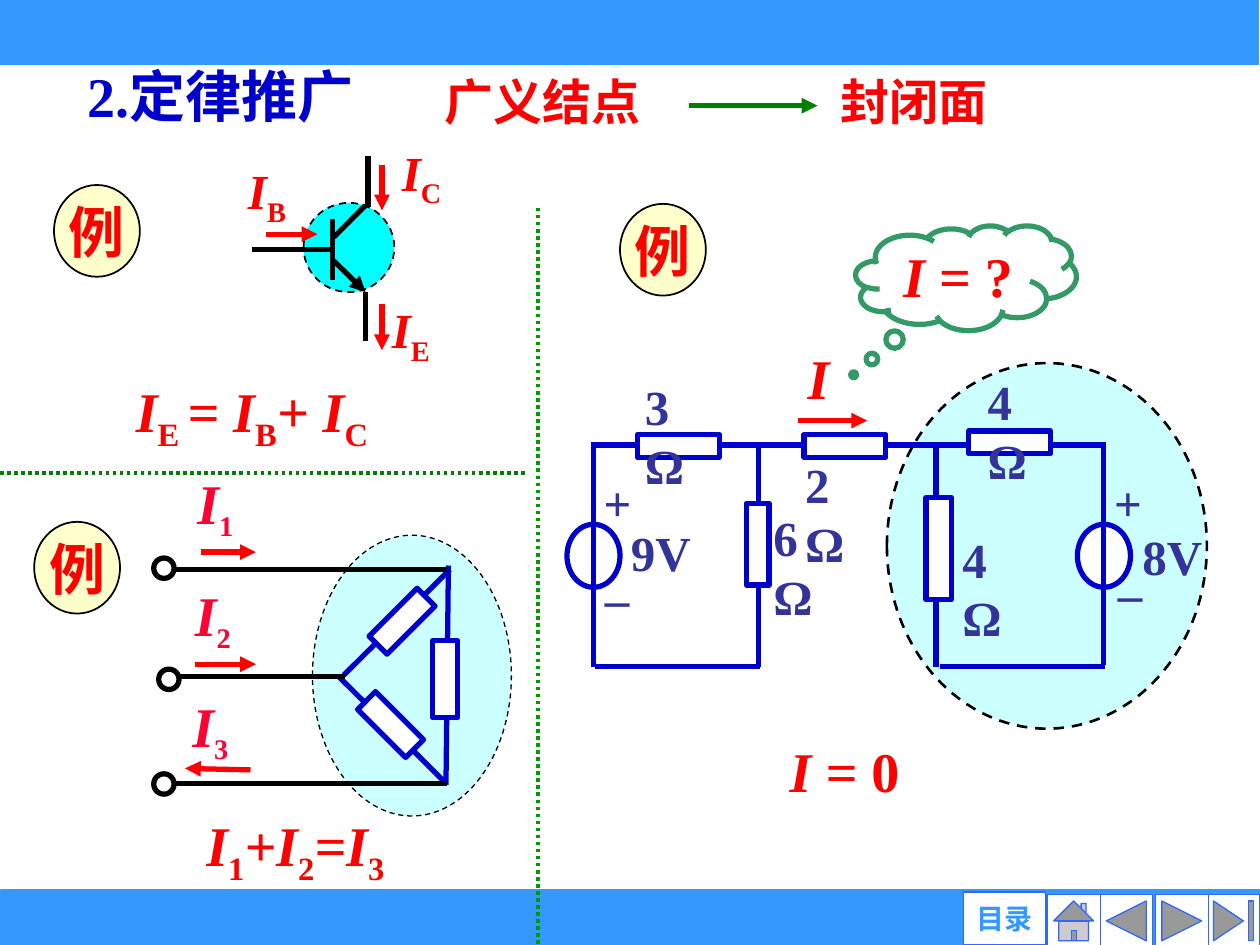
from lxml.etree import SubElement
from pptx import Presentation
from pptx.dml.color import RGBColor
from pptx.enum.dml import MSO_LINE
from pptx.enum.shapes import MSO_CONNECTOR, MSO_SHAPE
from pptx.enum.text import MSO_ANCHOR, MSO_AUTO_SIZE, PP_ALIGN
from pptx.oxml.ns import qn
from pptx.util import Cm, Pt

THEME = dict(
    serif="Times New Roman", sans="Arial", large=32, medium=28, small=16,
    band="3399FF", button="3366FF", white="FFFFFF", black="000000",
    red="FF0000", crimson="FF0033", blue="0000CC", label="333399",
    green="008000", divider="009900", cloud="339966",
    surface="CCFFFF", transistor="00FFFF", badge="FFFFCC",
)
GRID = 2.54

TITLE = ("2.定律推广", (0.59, 0.44, 2.66, 0.63))
HEADINGS = [
    ("广义结点", (3.43, 0.52, 2.35, 0.57)),
    ("封闭面", (6.57, 0.52, 2.12, 0.57)),
]
EXAMPLE = "例"
EXAMPLE_SPOTS = [(0.43, 1.47), (4.92, 1.62), (0.27, 4.14)]
MENU = "目录"
BUTTONS = [
    (MSO_SHAPE.ACTION_BUTTON_END, 9.58),
    (MSO_SHAPE.ACTION_BUTTON_FORWARD_OR_NEXT, 9.17),
    (MSO_SHAPE.ACTION_BUTTON_BACK_OR_PREVIOUS, 8.73),
    (MSO_SHAPE.ACTION_BUTTON_HOME, 8.31),
]

QUESTION = [("I ", "italic"), ("= ?", "")]
FORMULAS = [
    ([("I", "italic"), ("1", "sub"), ("+I", "italic"), ("2", "sub"),
      ("=I", "italic"), ("3", "sub")], (1.54, 6.38, 1.67, 0.63), False),
    ([("I = ", "italic"), ("0", "")], (6.17, 5.8, 1.07, 0.63), False),
    ([("I", "italic"), ("E ", "sub"), ("= I", "italic"), ("B", "sub"),
      ("+ I", "italic"), ("C", "sub")], (0.98, 2.94, 2.29, 0.63), True),
    ([("I", "italic")], (6.31, 2.68, 0.38, 0.63), False),
]

TRANSISTOR_LEADS = [
    (2.64, 1.74, 2.64, 2.22), (2, 1.98, 2.64, 1.98), (2.65, 1.88, 2.9, 1.63),
    (2.9, 2.32, 2.9, 2.71), (2.92, 1.24, 2.92, 1.64),
]
EMITTER = (2.65, 2.07, 2.9, 2.32)
TRANSISTOR_CURRENTS = [
    ("E", (3.01, 2.33, 0.57, 0.45), (3.03, 2.41, 3.03, 2.78)),
    ("C", (3.09, 1.08, 0.73, 0.7), (3.03, 1.31, 3.03, 1.67)),
    ("B", (1.87, 1.23, 0.69, 0.6), (2.11, 1.86, 2.52, 1.86)),
]

DELTA_SIDES = [
    ((3.56, 4.49, 3.54, 6.23), (3.23, 5.29, 0.61, 0.2), 90),
    ((3.57, 4.52, 2.73, 5.36), (3.09, 4.66, 0.2, 0.54), 45),
    ((2.69, 5.37, 3.53, 6.21), (3, 5.48, 0.2, 0.54), 315),
]
DELTA_PHASES = [
    ("1", (1.47, 3.67), (1.6, 4.38, 2.03, 4.38), (1.22, 4.43), (1.39, 4.52, 3.55, 4.52)),
    ("2", (1.45, 4.56), (1.55, 5.27, 2.03, 5.27), (1.26, 5.31), (1.41, 5.37, 2.74, 5.37)),
    ("3", (1.43, 5.44), (1.99, 6.11, 1.47, 6.1), (1.22, 6.14), (1.39, 6.22, 3.55, 6.22)),
]

SOURCES = [(4.5, 4.16), (8.55, 4.16)]
WIRES = [
    (4.71, 3.52, 4.71, 5.29), (6.02, 3.52, 6.02, 5.29),
    (7.43, 3.52, 7.43, 5.29), (8.76, 3.51, 8.76, 5.28),
    (4.69, 3.53, 6.12, 3.53), (6.03, 3.53, 7.46, 3.53),
    (7.35, 3.53, 8.77, 3.53),
    (4.72, 5.29, 6.03, 5.29), (7.46, 5.29, 8.77, 5.29),
]
RESISTORS = [
    ((5.06, 3.45, 0.65, 0.18), 0), ((6.38, 3.45, 0.65, 0.18), 0),
    ((7.69, 3.42, 0.65, 0.18), 0), ((7.35, 3.95, 0.2, 0.81), 0),
    ((5.69, 4.23, 0.65, 0.18), 270),
]
CIRCUIT_LABELS = [
    ("3 Ω", 5.02, 2.94, 0.79), ("4 Ω", 7.74, 2.9, 0.79),
    ("4 Ω", 7.54, 4.15, 0.79), ("6 Ω", 6.04, 3.98, 0.79),
    ("2 Ω", 6.29, 3.56, 0.79), ("9V", 4.91, 4.1, 0.68), ("8V", 8.97, 4.13, 0.68),
]
POLARITY = [("+", 4.69, 3.7), ("_", 4.73, 4.33), ("+", 8.74, 3.7), ("_", 8.8, 4.29)]


def color(name):
    return RGBColor.from_string(THEME[name])


def lengths(values):
    return [Cm(round(value * GRID, 2)) for value in values]


def write(frame, text, *, size="large", tint="red", face="serif", align=PP_ALIGN.LEFT,
          anchor=MSO_ANCHOR.TOP, wrap=True, sub_size=None):
    frame.word_wrap = wrap
    frame.vertical_anchor = anchor
    paragraph = frame.paragraphs[0]
    paragraph.alignment = align
    for part, style in [(text, "")] if isinstance(text, str) else text:
        run = paragraph.add_run()
        run.text = part
        run.font.name = THEME[face]
        run.font.bold = True
        run.font.italic = style == "italic"
        run.font.color.rgb = color(tint)
        run.font.size = Pt(THEME[size])
        if style == "sub":
            run.font.size = Pt(THEME[sub_size or size])
            run.font._element.set("baseline", "-25000")


def add_label(slide, text, box, **style):
    frame = slide.shapes.add_textbox(*lengths(box)).text_frame
    frame.auto_size = MSO_AUTO_SIZE.SHAPE_TO_FIT_TEXT
    write(frame, text, **style)


def add_part(slide, kind, box, fill="white", edge="blue", width=3, dash=None, turn=0):
    part = slide.shapes.add_shape(kind, *lengths(box))
    part.shadow.inherit = False
    part.fill.solid()
    part.fill.fore_color.rgb = color(fill)
    part.line.color.rgb = color(edge)
    part.line.width = Pt(width)
    part.line.dash_style = dash
    part.rotation = turn
    return part


def add_centred(part, text, **style):
    frame = part.text_frame
    frame.margin_left = frame.margin_right = frame.margin_top = frame.margin_bottom = 0
    write(frame, text, align=PP_ALIGN.CENTER, anchor=MSO_ANCHOR.MIDDLE, wrap=False, **style)


def add_line(slide, ends, tint="blue", width=3, dash=None, arrow=False):
    wire = slide.shapes.add_connector(MSO_CONNECTOR.STRAIGHT, *lengths(ends))
    wire.line.color.rgb = color(tint)
    wire.line.width = Pt(width)
    wire.line.dash_style = dash
    properties = wire._element.spPr
    if arrow:
        SubElement(properties.find(qn("a:ln")), qn("a:tailEnd"), type="triangle")
    SubElement(properties, qn("a:effectLst"))


def draw_frame(slide):
    add_part(slide, MSO_SHAPE.RECTANGLE, (0.01, 7.08, 9.99, 0.42), "band", "band")
    add_part(slide, MSO_SHAPE.RECTANGLE, (0, -0.01, 9.99, 0.52), "band", "band", 0)
    for kind, left in BUTTONS:
        add_part(slide, kind, (left, 7.1, 0.42, 0.42), edge="button", width=0.75)
    menu = add_part(slide, MSO_SHAPE.ACTION_BUTTON_CUSTOM, (7.65, 7.08, 0.65, 0.42),
                    edge="button", width=0.75)
    add_centred(menu, MENU, size="small", tint="band", face="sans")


def draw_headings(slide):
    text, box = TITLE
    title = slide.shapes.title
    title.left, title.top, title.width, title.height = lengths(box)
    title.text_frame.auto_size = MSO_AUTO_SIZE.NONE
    write(title.text_frame, text, tint="blue")
    for text, box in HEADINGS:
        add_label(slide, text, box, size="medium")
    add_line(slide, (5.47, 0.84, 6.49, 0.84), "green", arrow=True)
    add_line(slide, (4.27, 1.65, 4.27, 7.5), "divider", 2, MSO_LINE.ROUND_DOT)
    add_line(slide, (0, 3.75, 4.19, 3.75), "green", 2, MSO_LINE.ROUND_DOT)
    for spot in EXAMPLE_SPOTS:
        badge = add_part(slide, MSO_SHAPE.OVAL, (*spot, 0.68, 0.73), "badge", "black", 1)
        add_centred(badge, EXAMPLE)
    for text, box, wrap in FORMULAS:
        add_label(slide, text, box, wrap=wrap)


def draw_transistor(slide):
    add_part(slide, MSO_SHAPE.OVAL, (2.41, 1.61, 0.72, 0.71), "transistor", "black", 1,
             MSO_LINE.DASH)
    for lead in TRANSISTOR_LEADS:
        add_line(slide, lead, "black")
    add_line(slide, EMITTER, "black", arrow=True)
    for name, box, arrow in TRANSISTOR_CURRENTS:
        add_label(slide, [("I", "italic"), (name, "sub")], box, size="medium")
        add_line(slide, arrow, "red", arrow=True)


def draw_delta(slide):
    add_part(slide, MSO_SHAPE.OVAL, (2.48, 4.25, 1.58, 2.23), "surface", "black", 0.75,
             MSO_LINE.DASH)
    for wire, resistor, turn in DELTA_SIDES:
        add_line(slide, wire)
        add_part(slide, MSO_SHAPE.RECTANGLE, resistor, turn=turn)
    for name, spot, arrow, terminal, wire in DELTA_PHASES:
        add_label(slide, [("I", "italic"), (name, "sub")], (*spot, 0.51, 0.63),
                  tint="crimson", sub_size="medium")
        add_line(slide, wire, "black")
        add_line(slide, arrow, "red", arrow=True)
        add_part(slide, MSO_SHAPE.OVAL, (*terminal, 0.16, 0.16), edge="black")


def draw_circuit(slide):
    cloud = add_part(slide, MSO_SHAPE.CLOUD_CALLOUT, (6.79, 1.79, 1.75, 0.83), edge="cloud")
    cloud.adjustments[0], cloud.adjustments[1] = -0.509, 0.925
    add_centred(cloud, QUESTION)
    add_part(slide, MSO_SHAPE.OVAL, (7.04, 2.88, 2.54, 2.9), "surface", "black", 1.5,
             MSO_LINE.DASH)
    add_line(slide, (6.33, 3.34, 6.88, 3.34), "red", arrow=True)
    for spot in SOURCES:
        add_part(slide, MSO_SHAPE.OVAL, (*spot, 0.42, 0.5))
    for wire in WIRES:
        add_line(slide, wire)
    for box, turn in RESISTORS:
        add_part(slide, MSO_SHAPE.RECTANGLE, box, turn=turn)
    for text, left, top, width in CIRCUIT_LABELS:
        add_label(slide, text, (left, top, width, 0.57), size="medium", tint="label")
    for sign, left, top in POLARITY:
        add_label(slide, [(sign, "italic")], (left, top, 0.42, 0.57), size="medium",
                  tint="label")


def main():
    deck = Presentation()
    deck.slide_width, deck.slide_height = lengths((10, 7.5))
    slide = deck.slides.add_slide(deck.slide_layouts[5])
    for draw in (draw_frame, draw_transistor, draw_delta, draw_circuit, draw_headings):
        draw(slide)
    deck.save("out.pptx")


if __name__ == "__main__":
    main()
